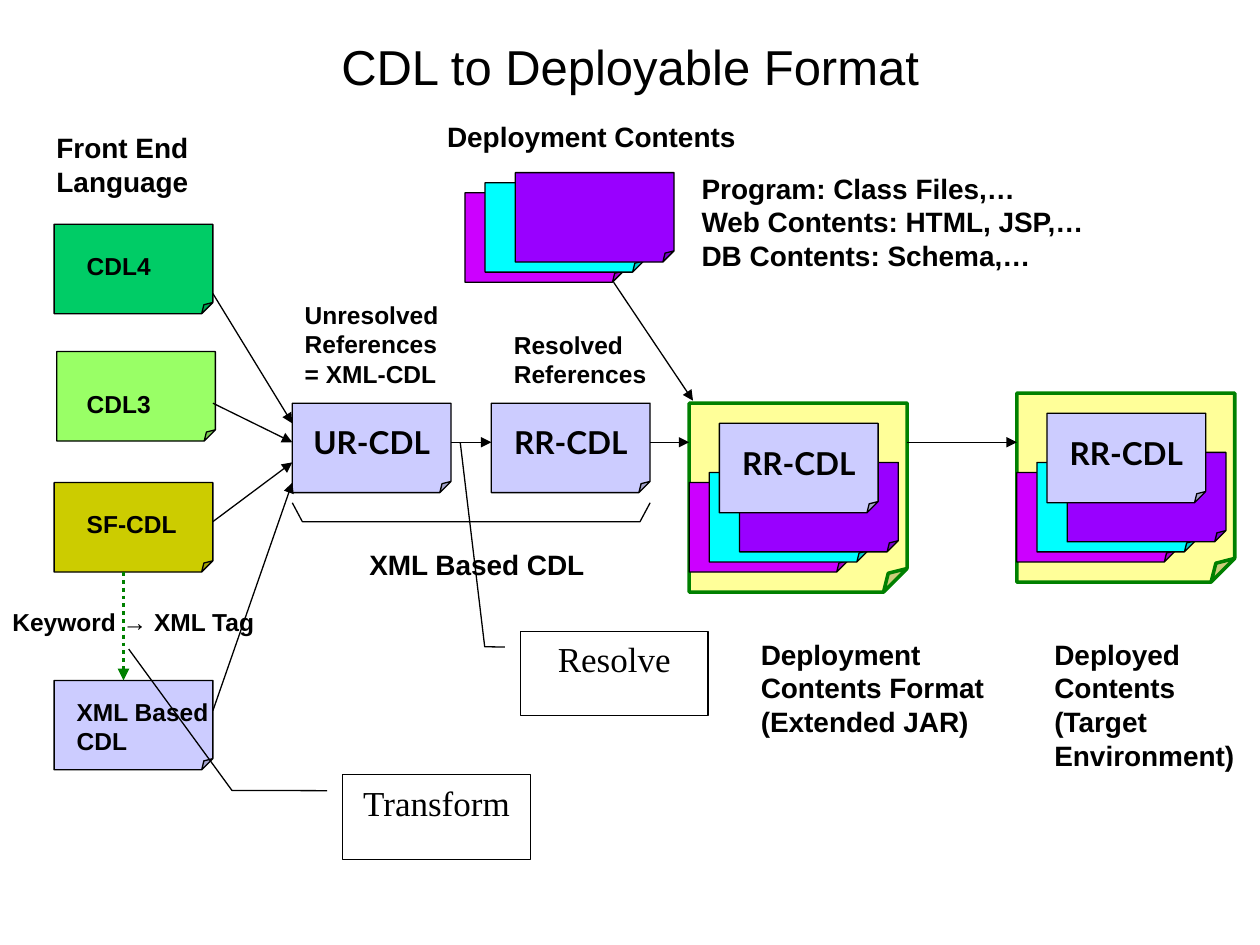
"""Build the slide that shows how CDL becomes a deployable format."""
import lxml.etree
import pptx
import pptx.dml.color
import pptx.enum.dml
import pptx.enum.shapes
import pptx.enum.text
import pptx.oxml.ns
import pptx.util

RGBColor = pptx.dml.color.RGBColor
BLACK = RGBColor(0x00, 0x00, 0x00)
WHITE = RGBColor(0xFF, 0xFF, 0xFF)
GREEN = RGBColor(0x00, 0x80, 0x00)
JADE = RGBColor(0x00, 0xCC, 0x66)
LIME = RGBColor(0x99, 0xFF, 0x66)
OLIVE = RGBColor(0xCC, 0xCC, 0x00)
LILAC = RGBColor(0xCC, 0xCC, 0xFF)
CREAM = RGBColor(0xFF, 0xFF, 0x99)
PINK = RGBColor(0xCC, 0x00, 0xFF)
CYAN = RGBColor(0x00, 0xFF, 0xFF)
VIOLET = RGBColor(0x99, 0x00, 0xFF)

WIDE, HIGH = pptx.util.Inches(10), pptx.util.Inches(7.5)
COLS, ROWS = 100, 75
NOTE = (12.6, 7.1)
PACK = (17.3, 15)
CALL = (14.9, 6.7)

SHAPE = pptx.enum.shapes.MSO_SHAPE
ALIGN = pptx.enum.text.PP_ALIGN
ANCHOR = pptx.enum.text.MSO_ANCHOR
FIT = pptx.enum.text.MSO_AUTO_SIZE
DOTS = pptx.enum.dml.MSO_LINE.ROUND_DOT


def place(col, row):
    return round(col * WIDE / COLS), round(row * HIGH / ROWS)


def append(parent, tag, **values):
    return lxml.etree.SubElement(parent, pptx.oxml.ns.qn(tag), **values)


def adjust(shape, **shares):
    guides = shape.element.spPr.find(".//" + pptx.oxml.ns.qn("a:avLst"))
    guides.clear()
    for name, share in shares.items():
        append(guides, "a:gd", name=name, fmla=f"val {round(share * 100000)}")


def write(shape, text, size=16, font="Arial", bold=True, align=ALIGN.LEFT,
          anchor=ANCHOR.TOP, wrap=True, fit=FIT.NONE):
    frame = shape.text_frame
    frame.text = text
    frame.word_wrap = wrap
    frame.auto_size = fit
    frame.vertical_anchor = anchor
    for para in frame.paragraphs:
        para.alignment = align
        para.font.size = pptx.util.Pt(size)
        para.font.name = font
        para.font.bold = bold
        para.font.color.rgb = BLACK


def label(slide, text, col, row, width, height, **form):
    box = slide.shapes.add_textbox(*place(col, row), *place(width, height))
    write(box, text, fit=FIT.SHAPE_TO_FIT_TEXT, **form)


def draw(slide, kind, col, row, size, fill, edge=BLACK, weight=0.75):
    shape = slide.shapes.add_shape(kind, *place(col, row), *place(*size))
    shape.shadow.inherit = False
    shape.fill.solid()
    shape.fill.fore_color.rgb = fill
    shape.line.color.rgb = edge
    shape.line.width = pptx.util.Pt(weight)
    return shape


def note(slide, col, row, fill, text=None, size=NOTE, **edge):
    shape = draw(slide, SHAPE.FOLDED_CORNER, col, row, size, fill, **edge)
    adjust(shape, adj=0.125)
    if text:
        write(shape, text, size=18, font="Lato", align=ALIGN.CENTER,
              anchor=ANCHOR.MIDDLE, wrap=False)


def pile(slide, col, row):
    for right, up, fill in ((0, 0, PINK), (1.6, 0.8, CYAN), (4, 1.6, VIOLET)):
        note(slide, col + right, row - up, fill)


def pack(slide, col, row):
    note(slide, col, row, CREAM, size=PACK, edge=GREEN, weight=2)
    pile(slide, col, row + 6.3)
    note(slide, col + 2.4, row + 1.6, LILAC, "RR-CDL")


def arrow(slide, start, end, color=BLACK, weight=0.75, dash=None):
    line = slide.shapes.add_connector(
        pptx.enum.shapes.MSO_CONNECTOR.STRAIGHT, *place(*start), *place(*end))
    line.line.color.rgb = color
    line.line.width = pptx.util.Pt(weight)
    if dash:
        line.line.dash_style = dash
    props = line.element.spPr
    append(props.get_or_add_ln(), "a:tailEnd", type="triangle")
    append(props, "a:effectLst")


def brace(slide, col, row, width, height, slant=0.8):
    build = slide.shapes.build_freeform(*place(col, row))
    foot = row + height
    build.add_line_segments(
        [place(col + slant, foot), place(col + width - slant, foot),
         place(col + width, row)], close=False)
    shape = build.convert_to_shape()
    shape.shadow.inherit = False
    shape.fill.background()
    shape.line.color.rgb = BLACK
    shape.line.width = pptx.util.Pt(0.75)


def callout(slide, text, col, row, bend, tip):
    shape = draw(slide, SHAPE.LINE_CALLOUT_2, col, row, CALL, WHITE)
    adjust(shape, adj1=0.188, adj2=-0.083, adj3=0.185, adj4=bend,
           adj5=tip[0], adj6=tip[1])
    write(shape, text, size=20, font="Times New Roman", bold=False,
          align=ALIGN.CENTER)


def main():
    deck = pptx.Presentation()
    deck.slide_width, deck.slide_height = WIDE, HIGH
    slide = deck.slides.add_slide(deck.slide_layouts[5])
    title = slide.shapes.title
    title.left, title.top = place(7.5, 3.6)
    title.width, title.height = place(85, 3.3)
    write(title, "CDL to Deployable Format", size=28, bold=False,
          align=ALIGN.CENTER, anchor=ANCHOR.MIDDLE)

    for col, row, fill in ((4.3, 54, LILAC), (4.3, 38.3, OLIVE),
                           (4.5, 27.9, LIME), (4.3, 17.8, JADE)):
        note(slide, col, row, fill)
    for text, col, row, height in (("XML Based\nCDL", 5.1, 54.8, 5.7),
                                   ("SF-CDL", 5.9, 39.9, 3.4),
                                   ("CDL3", 5.9, 30.4, 3.4),
                                   ("CDL4", 5.9, 19.4, 3.4)):
        label(slide, text, col, row, 15.7, height, size=14)

    pile(slide, 36.9, 15.3)
    pack(slide, 54.7, 32)
    pack(slide, 80.7, 31.2)
    note(slide, 39, 32, LILAC, "RR-CDL")
    note(slide, 23.2, 32, LILAC, "UR-CDL")

    for start, end in ((23.3, 33.6), (32, 35.1), (41.4, 36.7), (56.4, 38.3)):
        arrow(slide, (16.9, start), (23.2, end))
    for start, end in ((35.8, 39), (51.6, 54.7), (72, 80.7)):
        arrow(slide, (start, 35.1), (end, 35.1))
    arrow(slide, (48.7, 22.4), (55, 31.8))
    arrow(slide, (9.8, 45.4), (9.8, 54), color=GREEN, weight=2.25, dash=DOTS)
    brace(slide, 23.2, 39.9, 28.4, 1.5)

    label(slide, "Front End Language", 3.5, 9.9, 19.7, 6.4)
    label(slide, "Deployment Contents", 34.5, 9, 29.9, 3.7)
    label(slide, "Program: Class Files,…\nWeb Contents: HTML, JSP,…\n"
          "DB Contents: Schema,…", 54.7, 13.1, 49.6, 9)
    label(slide, "XML Based CDL", 28, 43, 19.7, 3.7, align=ALIGN.CENTER)
    label(slide, "Deployment Contents Format\n(Extended JAR)", 59.4, 50.1, 22, 9)
    label(slide, "Deployed\nContents\n(Target\nEnvironment)", 82.7, 50.1, 17.3, 11.7)
    label(slide, "Keyword → XML Tag", 0, 47.7, 22, 3.4, size=14)
    label(slide, "Unresolved References\n= XML-CDL", 23.2, 23.3, 16.5, 8, size=14)
    label(slide, "Resolved References", 39.8, 25.7, 16.5, 5.7, size=14)

    callout(slide, "Transform", 27.2, 61.5, -0.59, (-1.49, -1.14))
    callout(slide, "Resolve", 41.3, 50.1, -0.19, (-2.23, -0.32))
    deck.save("out.pptx")


if __name__ == "__main__":
    main()
